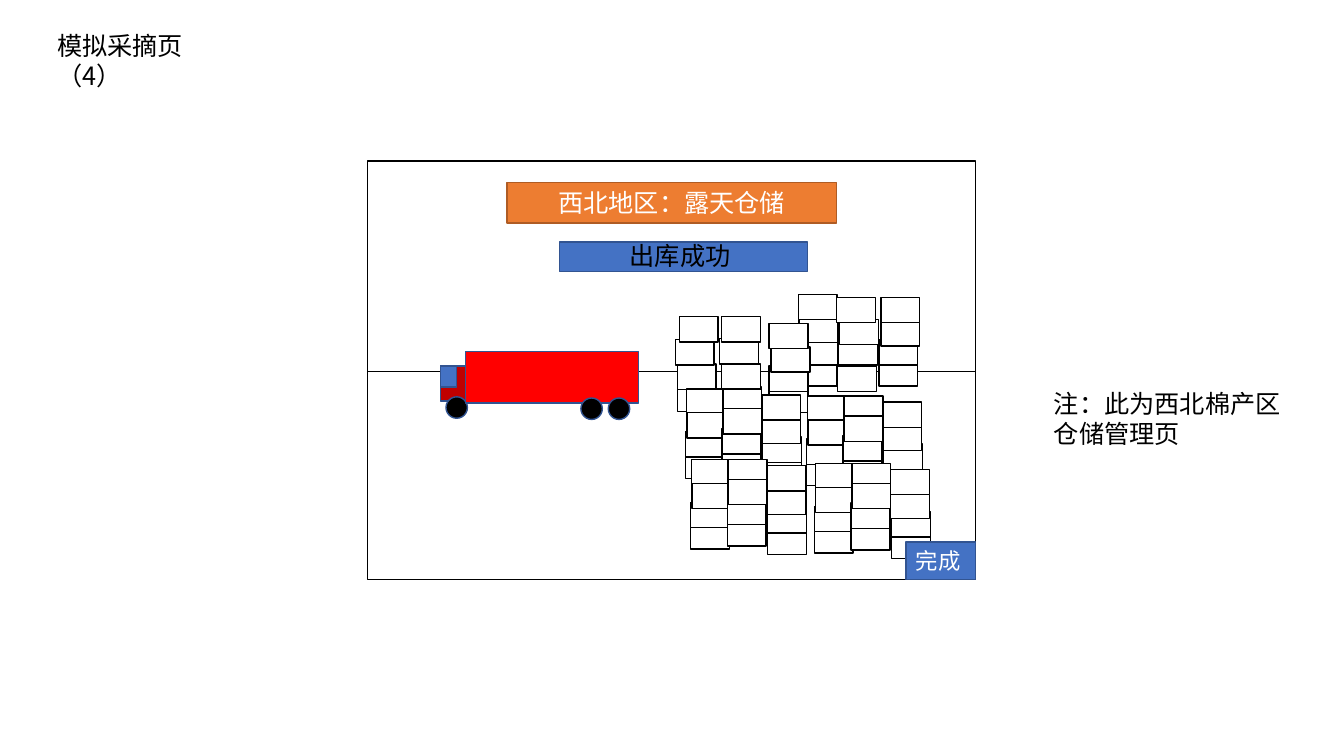
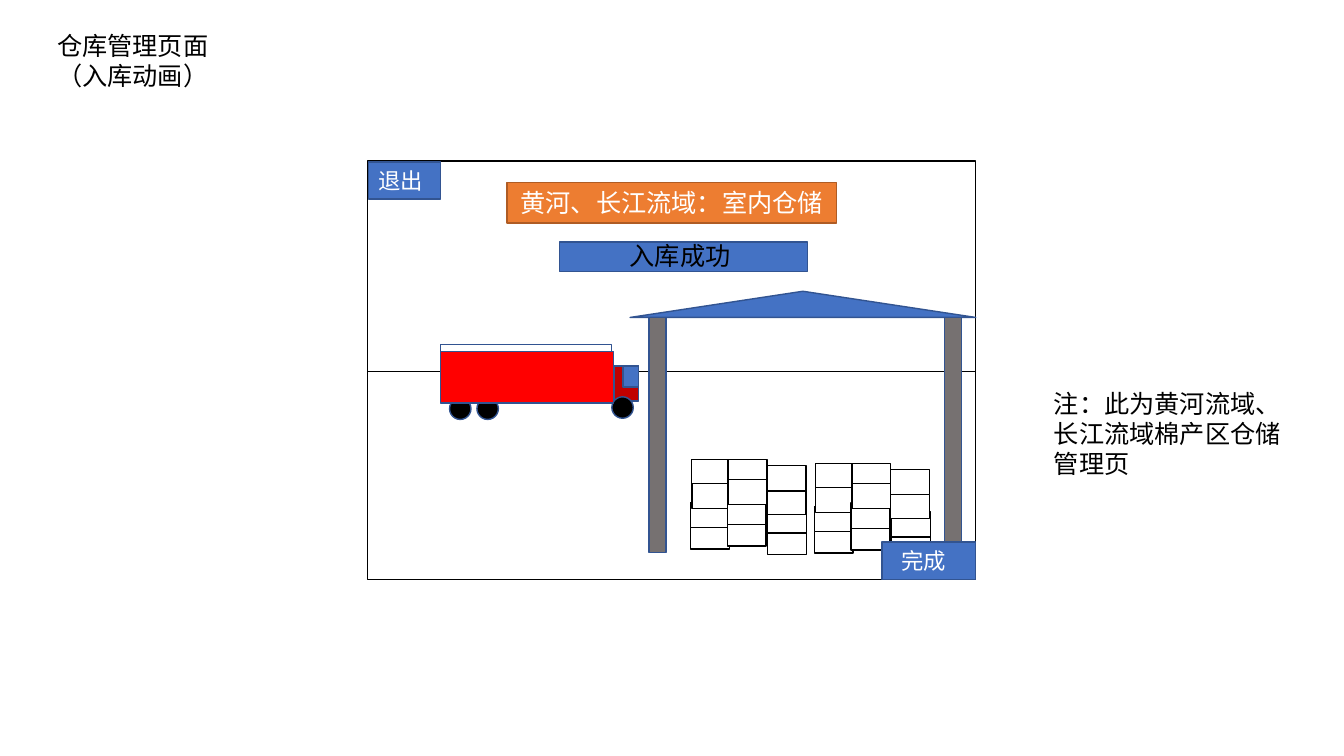
from collections import namedtuple

from lxml import etree
from pptx import Presentation
from pptx import util as u
from pptx.dml.color import RGBColor
from pptx.enum import shapes, text
from pptx.oxml import ns

Box = namedtuple("Box", "x y w h")

BLACK = RGBColor(0x00, 0x00, 0x00)
WHITE = RGBColor(0xFF, 0xFF, 0xFF)
BLUE = RGBColor(0x44, 0x72, 0xC4)
NAVY = RGBColor(0x32, 0x54, 0x91)
ORANGE = RGBColor(0xED, 0x7D, 0x31)
BROWN = RGBColor(0xAF, 0x5C, 0x24)
RED = RGBColor(0xFF, 0x00, 0x00)
DARK_RED = RGBColor(0xC0, 0x00, 0x00)
GREY = RGBColor(0x76, 0x71, 0x71)
FONT = "Noto Sans CJK SC"

RECT = shapes.MSO_SHAPE.RECTANGLE
OVAL = shapes.MSO_SHAPE.OVAL
TRIANGLE = shapes.MSO_SHAPE.ISOSCELES_TRIANGLE
LEFT = text.PP_ALIGN.LEFT
CENTER = text.PP_ALIGN.CENTER

TITLE = Box(1.19, 0.64, 4.7, 2.57)
SCENE = Box(9.27, 4.06, 15.32, 10.54)
NOTE = Box(26.31, 9.65, 6.68, 2.57)
BALE = (0.98, 0.64)
BUTTON_HEIGHT = 0.94

PILE = [
    (0.03, 0), (0.95, 0),
    (0, 1.62), (0, 1.08), (0.04, 0.6),
    (0.93, 1.54), (0.93, 1), (0.95, 0.5),
    (1.95, 1.75), (1.95, 1.21), (1.93, 0.74), (1.93, 0.15),
]
REAR_PILES = [(11.05, 5.92), (8, 5.74)]
FRONT_PILES = [(11.25, 7.62), (8.13, 7.52)]
BACK_COLUMNS = [
    [(10.85, 5.03), (10.87, 4.5), (10.87, 3.94), (10.85, 3.36)],
    [(11.84, 5.16), (11.86, 4.5), (11.89, 3.99), (11.81, 3.43)],
    [(10.11, 5.69), (10.11, 5.16), (10.16, 4.68), (10.11, 4.09)],
    [(8.94, 5.69), (8.92, 5.11), (8.87, 4.47), (8.92, 3.92)],
    [(7.8, 5.67), (7.8, 5.11), (7.75, 4.5), (7.85, 3.92)],
    [(12.88, 5.03), (12.88, 4.5), (12.93, 4.02), (12.93, 3.43)],
]


def inside(box, x, y, w, h):
    return Box(box.x + x, box.y + y, w, h)


def cm(box):
    return [u.Cm(length) for length in box]


def write(frame, words, size, color, align=LEFT):
    frame.word_wrap = True
    paragraph = frame.paragraphs[0]
    paragraph.alignment = align
    run = paragraph.add_run()
    run.text = words
    run.font.size = u.Pt(size)
    run.font.color.rgb = color
    run.font.name = FONT
    east_asian = etree.SubElement(run.font._element, ns.qn("a:ea"))
    east_asian.set("typeface", FONT)


def add_label(slide, box, words):
    label = slide.shapes.add_textbox(*cm(box))
    write(label.text_frame, words, 18, BLACK)


def add_part(parent, box, fill, line=NAVY, preset=RECT):
    part = parent.shapes.add_shape(preset, *cm(box))
    part.shadow.inherit = False
    if fill is None:
        part.fill.background()
    else:
        part.fill.solid()
        part.fill.fore_color.rgb = fill
    part.line.color.rgb = line
    part.line.width = u.Pt(1)
    return part


def add_button(slide, box, words, indent=0.25):
    button = add_part(slide, box, BLUE)
    button.text_frame.margin_left = u.Cm(indent)
    write(button.text_frame, words, 16, WHITE)


def add_finish_button(slide, scene, width, indent=0.25):
    box = inside(scene, scene.w - width, scene.h - BUTTON_HEIGHT, width, BUTTON_HEIGHT)
    add_button(slide, box, "完成", indent)


def add_scene(slide, scene, region):
    add_part(slide, scene, None, BLACK)
    banner_width = 8.31
    banner_box = inside(scene, (scene.w - banner_width) / 2, 0.54, banner_width, 1.02)
    banner = add_part(slide, banner_box, ORANGE, BROWN)
    write(banner.text_frame, region, 18, WHITE, CENTER)
    ground = scene.y + 5.29
    horizon = slide.shapes.add_connector(
        shapes.MSO_CONNECTOR.STRAIGHT,
        *cm((scene.x, ground, scene.x + scene.w, ground)))
    horizon.line.color.rgb = BLACK
    horizon.line.width = u.Pt(0.5)
    etree.SubElement(horizon._element.spPr, ns.qn("a:effectLst"))


def add_status(slide, scene, words):
    add_part(slide, inside(scene, 4.83, 2.04, 6.25, 0.74), BLUE)
    add_label(slide, inside(scene, 6.35, 1.88, 11.28, 1.02), words)


def add_truck(slide, box, facing_left=False):
    def place(x, y, w, h, fill, preset=RECT):
        left = box.w - x - w if facing_left else x
        add_part(slide, inside(box, left, y, w, h), fill, preset=preset)

    def wheel(x, y):
        place(x, y, 0.54, 0.54, BLACK, OVAL)

    def rear_wheels():
        for x in (0.92, 0.23):
            wheel(x, 1.17)

    place(4.37, 0.36, 0.63, 0.89, DARK_RED)
    if not facing_left:
        rear_wheels()
    wheel(4.32, 1.14)
    place(4.6, 0.36, 0.4, 0.53, BLUE)
    if not facing_left:
        place(0, -0.18, 4.32, 1.02, WHITE)
    place(0, 0, 4.37, 1.3, RED)
    if facing_left:
        rear_wheels()


def add_bales(parent, box, spots):
    for x, y in spots:
        add_part(parent, inside(box, x, y, *BALE), WHITE, BLACK)


def add_piles(slide, scene, corners):
    for x, y in corners:
        add_bales(slide.shapes.add_group_shape(), inside(scene, x, y, 0, 0), PILE)


def add_warehouse(slide, box):
    roof_height = 0.66
    add_part(slide, Box(box.x, box.y, box.w, roof_height), BLUE, preset=TRIANGLE)
    for x in (0.48, 7.92):
        add_part(slide, inside(box, x, roof_height, 0.43, box.h - roof_height), GREY)


def add_page(deck, title, region, note):
    slide = deck.slides.add_slide(deck.slide_layouts[6])
    add_label(slide, TITLE, title)
    add_scene(slide, SCENE, region)
    add_label(slide, NOTE, note)
    return slide


def add_open_air_page(deck):
    slide = add_page(deck, "模拟采摘页（4）", "西北地区：露天仓储",
                     "注：此为西北棉产区仓储管理页")
    add_truck(slide, inside(SCENE, 1.83, 4.8, 5, 1.71), facing_left=True)
    for column in BACK_COLUMNS:
        add_bales(slide, SCENE, column)
    for corners in zip(REAR_PILES, FRONT_PILES):
        add_piles(slide, SCENE, corners)
    add_finish_button(slide, SCENE, 1.76)
    add_status(slide, SCENE, "出库成功")


def add_indoor_page(deck):
    slide = add_page(deck, "仓库管理页面（入库动画）", "黄河、长江流域：室内仓储",
                     "注：此为黄河流域、长江流域棉产区仓储管理页")
    add_truck(slide, inside(SCENE, 1.83, 4.8, 5, 1.71))
    add_piles(slide, SCENE, FRONT_PILES)
    add_warehouse(slide, inside(SCENE, 6.61, 3.28, 8.71, 6.58))
    add_finish_button(slide, SCENE, 2.36, indent=0.48)
    add_button(slide, inside(SCENE, 0.02, 0.02, 1.81, BUTTON_HEIGHT), "退出")
    add_status(slide, SCENE, "入库成功")


def main():
    deck = Presentation()
    deck.slide_width = u.Cm(33.87)
    deck.slide_height = u.Cm(19.05)
    add_open_air_page(deck)
    add_indoor_page(deck)
    deck.save("out.pptx")


if __name__ == "__main__":
    main()
